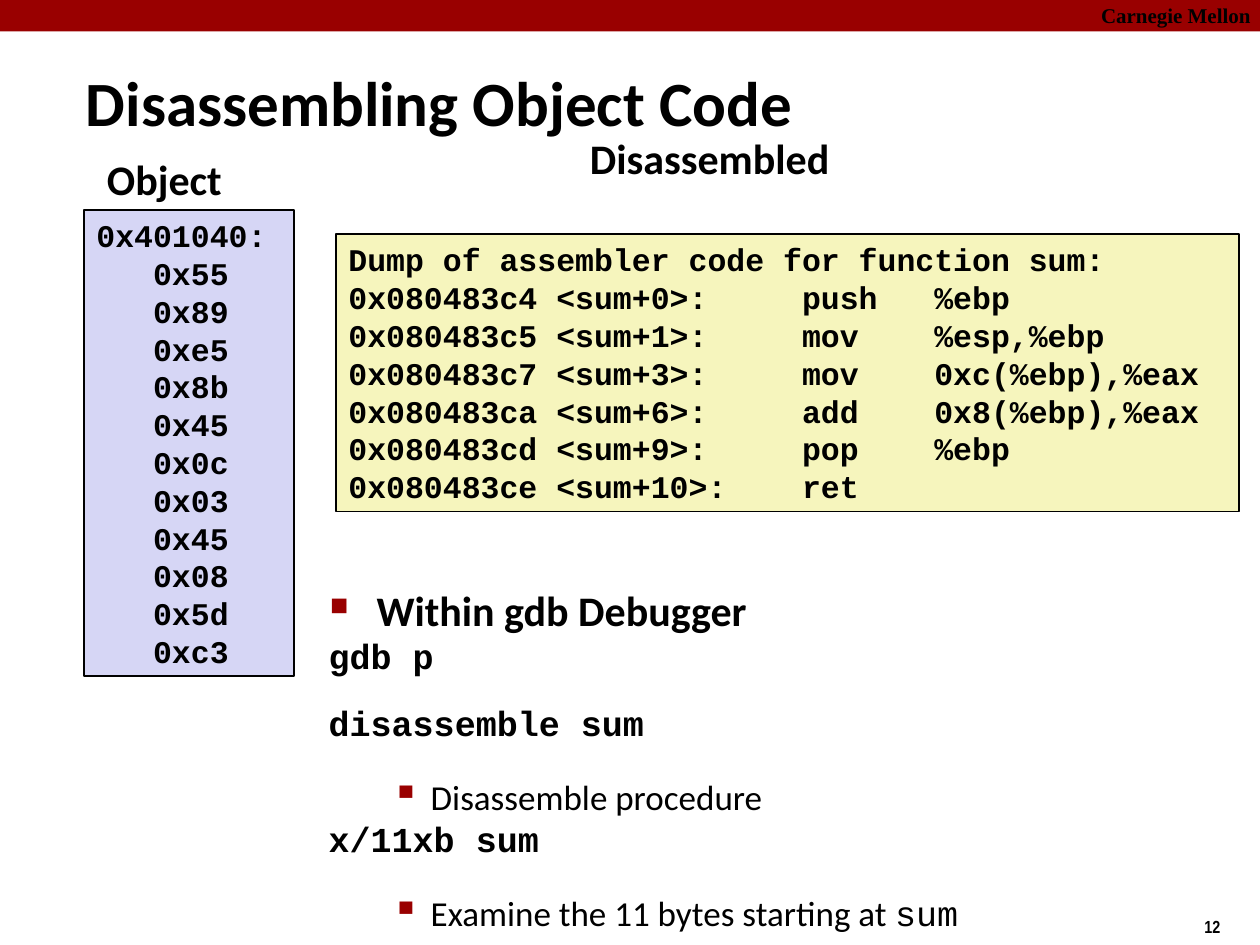
from pptx import Presentation
from pptx.dml.color import RGBColor
from pptx.enum.shapes import MSO_SHAPE as Shape
from pptx.enum.text import MSO_ANCHOR as Anchor, MSO_AUTO_SIZE as AutoSize, PP_ALIGN as Align
from pptx.oxml.ns import qn
from pptx.util import Inches, Pt
from lxml.etree import SubElement

SANS, MONO = "Calibri", "Courier New"
BLACK, RED, LILAC, CREAM = "000000", "990000", "D6D6F5", "F6F5BD"

OBJECT_BYTES = "0x55 0x89 0xe5 0x8b 0x45 0x0c 0x03 0x45 0x08 0x5d 0xc3".split()
ASSEMBLY = [
    "Dump of assembler code for function sum:",
    "0x080483c4 <sum+0>:     push   %ebp",
    "0x080483c5 <sum+1>:     mov    %esp,%ebp",
    "0x080483c7 <sum+3>:     mov    0xc(%ebp),%eax",
    "0x080483ca <sum+6>:     add    0x8(%ebp),%eax",
    "0x080483cd <sum+9>:     pop    %ebp",
    "0x080483ce <sum+10>:    ret",
]


def color(hex_code):
    return RGBColor.from_string(hex_code)


class Deck:
    """Style and current slide; lengths count columns and rows of a 60 x 45 grid."""

    def __init__(self):
        self.file = Presentation()
        self.file.slide_width, self.file.slide_height = Inches(10), Inches(7.5)
        self.cell = self.file.slide_width / 60
        self.slide = self.file.slides.add_slide(self.file.slide_layouts[6])

    def place(self, *area):
        return [round(length * self.cell) for length in area]

    def style(self, font, size, face=SANS, bold=True):
        font.size, font.name, font.bold = Pt(size), face, bold
        font.color.rgb = color(BLACK)

    def panel(self, area, fill, outlined=True):
        panel = self.slide.shapes.add_shape(Shape.RECTANGLE, *self.place(*area))
        panel.shadow.inherit = False
        panel.fill.solid()
        panel.fill.fore_color.rgb = color(fill)
        if outlined:
            panel.line.color.rgb = color(BLACK)
            panel.line.width = Pt(1)
        else:
            panel.line.fill.background()
        return panel

    def code(self, area, fill, lines, tabs=()):
        frame = self.panel(area, fill).text_frame
        frame.word_wrap, frame.vertical_anchor = True, Anchor.TOP
        frame.auto_size = AutoSize.SHAPE_TO_FIT_TEXT
        frame.text = "\n".join(lines)
        for line in frame.paragraphs:
            line.alignment = Align.LEFT
            if tabs:
                stops = SubElement(line._p.get_or_add_pPr(), qn("a:tabLst"))
                for stop in tabs:
                    SubElement(stops, qn("a:tab"), pos=str(Inches(stop)), algn="l")
            self.style(line.font, 18, MONO)

    def frame(self, area, wrap=True):
        frame = self.slide.shapes.add_textbox(*self.place(*area)).text_frame
        frame.word_wrap = wrap
        return frame

    def label(self, area, text, size, face=SANS, wrap=True):
        frame = self.frame(area, wrap)
        frame.text = text
        self.style(frame.paragraphs[0].font, size, face)

    def bullet(self, paragraph, mark, percent, margin, hang):
        props = paragraph._p.get_or_add_pPr()
        props.set("marL", str(Inches(margin)))
        props.set("indent", str(Inches(-hang)))
        SubElement(SubElement(props, qn("a:buClr")), qn("a:srgbClr"), val=RED)
        SubElement(props, qn("a:buSzPct"), val=str(percent * 1000))
        SubElement(props, qn("a:buChar"), char=mark)

    def debugger_steps(self, area, heading, steps):
        """Write a heading, then each command with its optional explanation."""
        frame = self.frame(area)
        topic = frame.paragraphs[0]
        topic.text = heading
        self.bullet(topic, "■", 60, 0.38, 0.37)
        self.style(topic.font, 24)
        for command, explanation, operand in steps:
            prompt = frame.add_paragraph()
            prompt.text = command
            prompt.space_after = Pt(14.2)
            self.style(prompt.font, 20, MONO)
            if explanation:
                note = frame.add_paragraph()
                note.level, note.space_before = 1, Pt(4)
                self.bullet(note, "▪", 110, 0.81, 0.31)
                for text, face in ((explanation, SANS), (operand, MONO)):
                    if text:
                        run = note.add_run()
                        run.text = text
                        self.style(run.font, 20, face, bold=False)


def main():
    deck = Deck()
    deck.panel((0, 0, 60, 1.5), RED, outlined=False)
    deck.label((51.84, -0.18, 8.58, 1.8), "Carnegie Mellon", 12, "Times New Roman")
    deck.label((56.76, 43.32, 4.5, 1.62), "12", 10, "Arial Narrow", wrap=False)
    deck.label((3.5, 2.75, 41, 3.8), "Disassembling Object Code", 36)

    deck.label((4.5, 7, 8.6, 2.7), "Object", 24)
    deck.code((4, 10, 10, 22.2), LILAC,
              ["0x401040:"] + [f"   {byte}" for byte in OBJECT_BYTES], tabs=(0.5, 1.63))

    deck.label((27.5, 6, 17.1, 2.7), "Disassembled", 24)
    deck.code((16, 11.16, 43, 13.2), CREAM, ASSEMBLY)

    deck.debugger_steps((15.06, 27.54, 41.34, 14.76), "Within gdb Debugger", [
        ("gdb p", "", ""),
        ("disassemble sum", "Disassemble procedure", ""),
        ("x/11xb sum", "Examine the 11 bytes starting at ", "sum"),
    ])
    deck.file.save("out.pptx")


if __name__ == "__main__":
    main()
